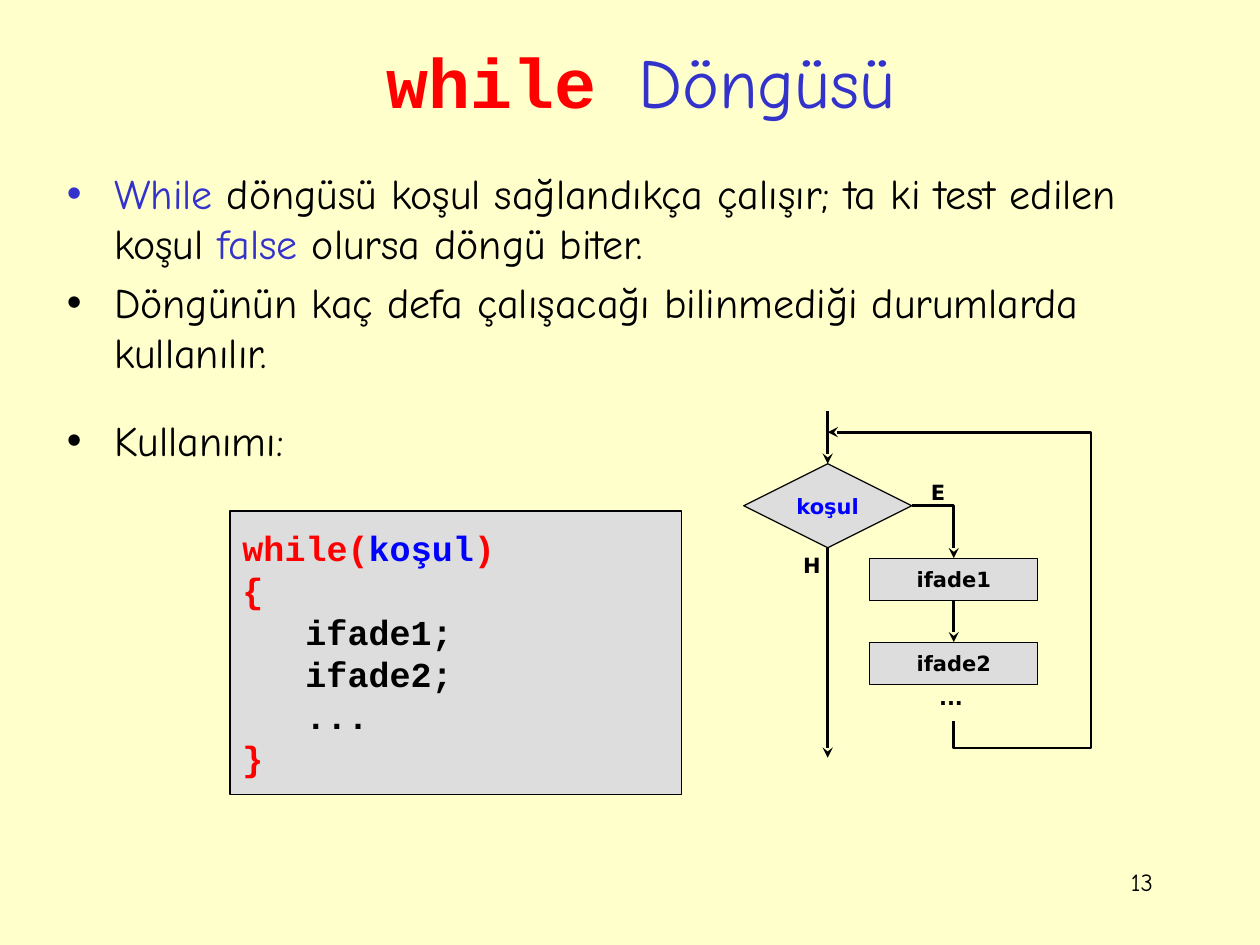
"""Builds a slide that explains the while loop with code and a flowchart."""
from lxml import etree
from pptx import Presentation
from pptx import util as u
from pptx.dml.color import RGBColor
from pptx.enum import shapes, text
from pptx.oxml.ns import qn

CREAM = RGBColor(0xFF, 0xFF, 0xCC)
GRAY = RGBColor(0xDD, 0xDD, 0xDD)
BLACK = RGBColor(0, 0, 0)
RED = RGBColor(0xFF, 0, 0)
BLUE = RGBColor(0, 0, 0xFF)
INDIGO = RGBColor(0x33, 0x33, 0xCC)

HAND, CODE, SANS = "Comic Neue", "Courier New", "DejaVu Sans"
LEFT, CENTER, RIGHT = text.PP_ALIGN.LEFT, text.PP_ALIGN.CENTER, text.PP_ALIGN.RIGHT
KINDS = shapes.MSO_SHAPE

TITLE = [("while ", RED, CODE, True), ("Döngüsü", INDIGO, HAND, False)]
BULLETS = [
    (4.8, [("While", INDIGO),
           (" döngüsü koşul sağlandıkça çalışır; ta ki test edilen koşul ", BLACK),
           ("false", INDIGO), (" olursa döngü biter.", BLACK)]),
    (4.8, [("Döngünün kaç defa çalışacağı bilinmediği durumlarda kullanılır.", BLACK)]),
    (21.2, [("Kullanımı:", BLACK)]),
]
CODE_LINES = [
    [("while(", RED), ("koşul", BLUE), (")", RED)],
    [("{", RED)],
    [("\tifade1;", BLACK)],
    [("\tifade2;", BLACK)],
    [("\t...", BLACK)],
    [("}", RED)],
]

STEP, NODE_WIDTH = 24, 96
MAIN_X, BRANCH_X, LOOP_X = 473, 545, 623.5
TEST_TOP = 265
TEST_MIDDLE, TEST_BOTTOM = TEST_TOP + STEP, TEST_TOP + 2 * STEP
FIRST_TOP = 319
SECOND_TOP = FIRST_TOP + 2 * STEP

ARROWS = [
    [(BRANCH_X, 412), (BRANCH_X, 427.5), (LOOP_X, 427.5), (LOOP_X, 247), (MAIN_X, 247)],
    [(MAIN_X, 235), (MAIN_X, TEST_TOP)],
    [(MAIN_X + NODE_WIDTH / 2, TEST_MIDDLE), (BRANCH_X, TEST_MIDDLE), (BRANCH_X, FIRST_TOP)],
    [(MAIN_X, TEST_BOTTOM), (MAIN_X, 433)],
    [(BRANCH_X, FIRST_TOP + STEP), (BRANCH_X, SECOND_TOP)],
]
NODES = [
    ("koşul", BLUE, KINDS.FLOWCHART_DECISION, MAIN_X, TEST_TOP, 2 * STEP),
    ("ifade1", BLACK, KINDS.FLOWCHART_PROCESS, BRANCH_X, FIRST_TOP, STEP),
    ("ifade2", BLACK, KINDS.FLOWCHART_PROCESS, BRANCH_X, SECOND_TOP, STEP),
]
LABELS = [
    ("E", CENTER, SANS, 12, True, (521, 270.5, 30, 21.5)),
    ("H", CENTER, SANS, 12, True, (449, 312.5, 30, 21.5)),
    ("...", CENTER, SANS, 12, True, (525.5, 387.5, 36, 21.5)),
    ("13", RIGHT, HAND, 14, False, (516, 492, 150, 36)),
]


def points(*lengths):
    return [u.Pt(length) for length in lengths]


def add_span(para, words, color, face, size, bold=False):
    span = para.add_run()
    span.text = words
    span.font.name, span.font.size, span.font.bold = face, u.Pt(size), bold
    span.font.color.rgb = color


def place(shape, left, top, width, height):
    shape.left, shape.top, shape.width, shape.height = points(left, top, width, height)


def write_lines(frame, lines, align, face, size, bold):
    for number, spans in enumerate(lines):
        para = frame.add_paragraph() if number else frame.paragraphs[0]
        para.alignment = align
        for words, color in spans:
            add_span(para, words, color, face, size, bold)


def add_box(kind, area, lines, align, face, size, wrap):
    box = page.shapes.add_shape(kind, *points(*area))
    box.shadow.inherit = False
    box.fill.solid()
    box.fill.fore_color.rgb = GRAY
    box.line.color.rgb, box.line.width = BLACK, u.Pt(0.75)
    frame = box.text_frame
    frame.word_wrap = wrap
    frame.vertical_anchor = text.MSO_ANCHOR.MIDDLE
    write_lines(frame, lines, align, face, size, True)


def add_arrow(stops):
    stops = [points(*stop) for stop in stops]
    if len(stops) == 2:
        arrow = page.shapes.add_connector(shapes.MSO_CONNECTOR.STRAIGHT, *stops[0], *stops[1])
    else:
        builder = page.shapes.build_freeform(*stops[0])
        builder.add_line_segments(stops[1:], close=False)
        arrow = builder.convert_to_shape()
        arrow.fill.background()
    arrow.line.color.rgb, arrow.line.width = BLACK, u.Pt(1.5)
    properties = arrow.element.spPr
    etree.SubElement(properties.find(qn("a:ln")), qn("a:tailEnd"), type="stealth")
    etree.SubElement(properties, qn("a:effectLst"))


deck = Presentation()
deck.slide_width, deck.slide_height = points(720, 540)
page = deck.slides.add_slide(deck.slide_layouts[1])
page.background.fill.solid()
page.background.fill.fore_color.rgb = CREAM

title, body = page.placeholders
place(title, 52, 24, 628.5, 44)
title.text_frame.auto_size = text.MSO_AUTO_SIZE.NONE
for words, color, face, bold in TITLE:
    add_span(title.text_frame.paragraphs[0], words, color, face, 40, bold)

place(body, 31, 92, 662.5, 178.5)
body.text_frame.auto_size = text.MSO_AUTO_SIZE.NONE
write_lines(body.text_frame, [spans for _, spans in BULLETS], LEFT, HAND, 24, False)
for para, (gap, _) in zip(body.text_frame.paragraphs, BULLETS):
    para.space_before = u.Pt(gap)

add_box(KINDS.RECTANGLE, (131.5, 292, 258, 162), CODE_LINES, LEFT, CODE, 20, True)

for stops in ARROWS:
    add_arrow(stops)
for words, color, kind, center, top, height in NODES:
    area = (center - NODE_WIDTH / 2, top, NODE_WIDTH, height)
    add_box(kind, area, [[(words, color)]], CENTER, SANS, 12, False)
for words, align, face, size, bold, area in LABELS:
    label = page.shapes.add_textbox(*points(*area))
    label.text_frame.word_wrap = True
    write_lines(label.text_frame, [[(words, BLACK)]], align, face, size, bold)

deck.save("out.pptx")
